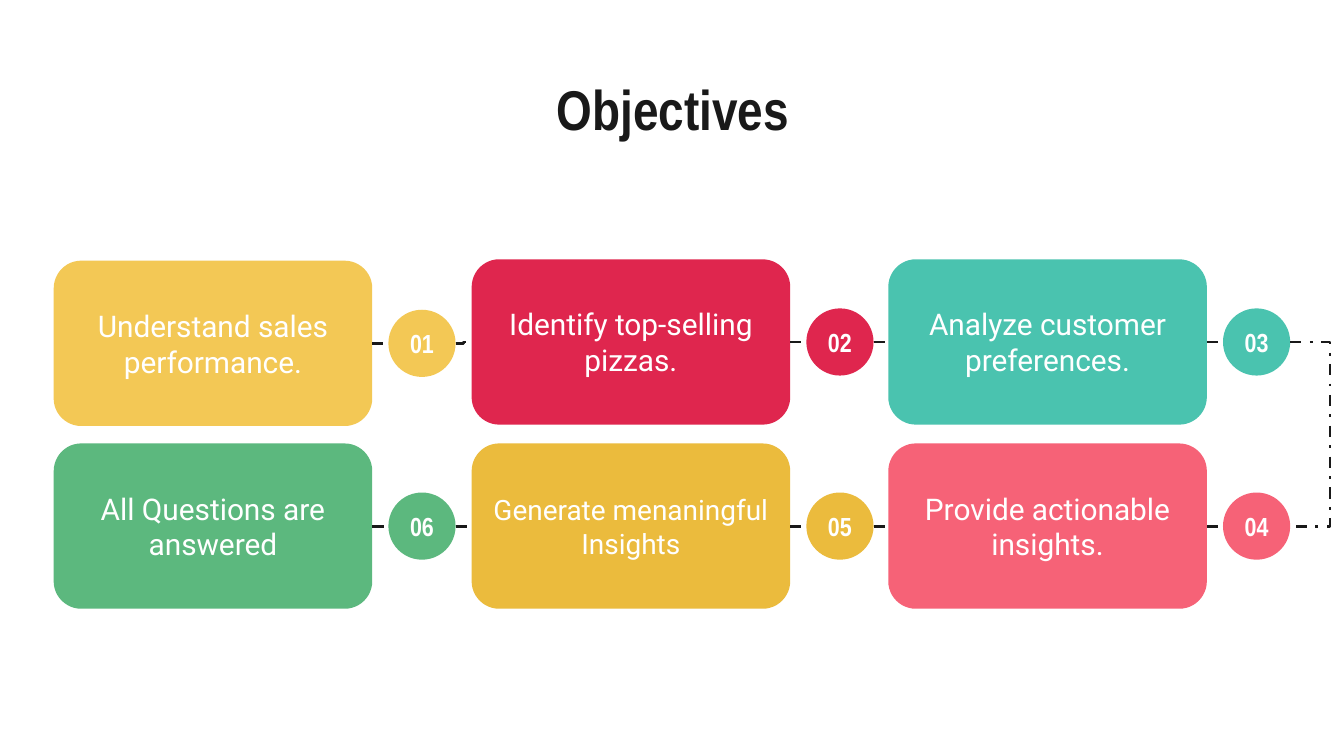
from lxml.etree import SubElement
from pptx import Presentation
from pptx.dml.color import RGBColor
from pptx.enum.dml import MSO_LINE_DASH_STYLE as Dash
from pptx.enum.shapes import MSO_CONNECTOR as Link, MSO_SHAPE as Shape
from pptx.enum.text import MSO_ANCHOR as Anchor, MSO_AUTO_SIZE as AutoSize, PP_ALIGN as Align
from pptx.oxml.ns import qn
from pptx.util import Inches, Pt

TITLE = "Objectives"
OBJECTIVES = [
    ("01", "Understand sales performance.", "F3C855", 16),
    ("02", "Identify top-selling pizzas.", "DF264E", 16),
    ("03", "Analyze customer preferences.", "4AC3AF", 16),
    ("04", "Provide actionable insights.", "F66277", 16),
    ("05", "Generate menaningful Insights", "EBBB3D", 15),
    ("06", "All Questions are answered", "5CB87E", 16),
]
INK, WHITE = "191919", "FFFFFF"
SLIDE_W = 10
SLIDE_H = SLIDE_W * 9 / 16
COLUMNS = [0.4, 3.51, 6.61]
ROWS = [1.93, 3.3]
CARD_W, CARD_H = 2.37, 1.23
BADGE = 0.5
BADGE_OFFSET = 2.49
LOOP_REACH, LOOP_STEP = 0.3, 0.01
TOP_NUDGE = {"01": 0.01}


def color(value):
    return RGBColor.from_string(value)


def write(box, text, font, size, ink, bold=False, side=0.1):
    frame = box.text_frame
    formats = {
        "word_wrap": True,
        "auto_size": AutoSize.NONE,
        "vertical_anchor": Anchor.MIDDLE,
        "margin_left": Inches(side),
        "margin_right": Inches(side),
        "margin_top": Inches(0.1),
        "margin_bottom": Inches(0.1),
    }
    for name, value in formats.items():
        setattr(frame, name, value)
    para = frame.paragraphs[0]
    para.alignment = Align.CENTER
    span = para.add_run()
    span.text = text
    for name, value in {"name": font, "size": Pt(size), "bold": bold}.items():
        setattr(span.font, name, value)
    span.font.color.rgb = color(ink)


def add_block(page, kind, left, top, width, height, fill):
    block = page.shapes.add_shape(kind, Inches(left), Inches(top), Inches(width), Inches(height))
    block.shadow.inherit = False
    block.fill.solid()
    block.fill.fore_color.rgb = color(fill)
    block.line.fill.background()
    return block


def add_link(page, x1, y1, x2, y2):
    link = page.shapes.add_connector(Link.ELBOW, Inches(x1), Inches(y1), Inches(x2), Inches(y2))
    link.line.color.rgb = color(INK)
    link.line.width = Pt(1.5)
    link.line.dash_style = Dash.DASH_DOT
    SubElement(link._element.spPr, qn("a:effectLst"))
    return link


def main():
    deck = Presentation()
    deck.slide_width, deck.slide_height = Inches(SLIDE_W), Inches(SLIDE_H)
    page = deck.slides.add_slide(deck.slide_layouts[5])

    title = page.shapes.title
    place = {"left": 0.79, "top": 0.49, "width": 8.43, "height": 0.63}
    for name, value in place.items():
        setattr(title, name, Inches(value))
    write(title, TITLE, "Arial Narrow", 30, INK, bold=True)

    cards = {}
    for index, (number, text, fill, size) in enumerate(OBJECTIVES):
        row, step = divmod(index, len(COLUMNS))
        column = step if row == 0 else len(COLUMNS) - 1 - step
        left, top = COLUMNS[column], ROWS[row] + TOP_NUDGE.get(number, 0)
        middle = top + CARD_H / 2

        card = add_block(page, Shape.ROUNDED_RECTANGLE, left, top, CARD_W, CARD_H, fill)
        write(card, text, "Roboto", size, WHITE)
        cards[row, column] = card, middle

        badge = add_block(page, Shape.OVAL, left + BADGE_OFFSET, middle - BADGE / 2, BADGE, BADGE, fill)
        write(badge, number, "Arial Narrow", 14, WHITE, bold=True, side=0)

    for (row, column), (card, middle) in cards.items():
        badge_left = COLUMNS[column] + BADGE_OFFSET
        badge_right = badge_left + BADGE
        link = add_link(page, COLUMNS[column] + CARD_W, middle, badge_left, middle)
        link.begin_connect(card, 3)
        if (row, column + 1) in cards:
            neighbor, next_middle = cards[row, column + 1]
            link = add_link(page, badge_right, middle, COLUMNS[column + 1], next_middle)
            link.end_connect(neighbor, 1)

    loop_left = COLUMNS[-1] + BADGE_OFFSET + BADGE
    top_middle, bottom_middle = (row + CARD_H / 2 for row in ROWS)
    loop = add_link(page, loop_left, top_middle, loop_left + LOOP_STEP, bottom_middle)
    guides = loop._element.spPr.find(qn("a:prstGeom")).get_or_add_avLst()
    bend = round(LOOP_REACH / LOOP_STEP * 100000)
    SubElement(guides, qn("a:gd"), name="adj1", fmla=f"val {bend}")

    deck.save("out.pptx")


if __name__ == "__main__":
    main()
